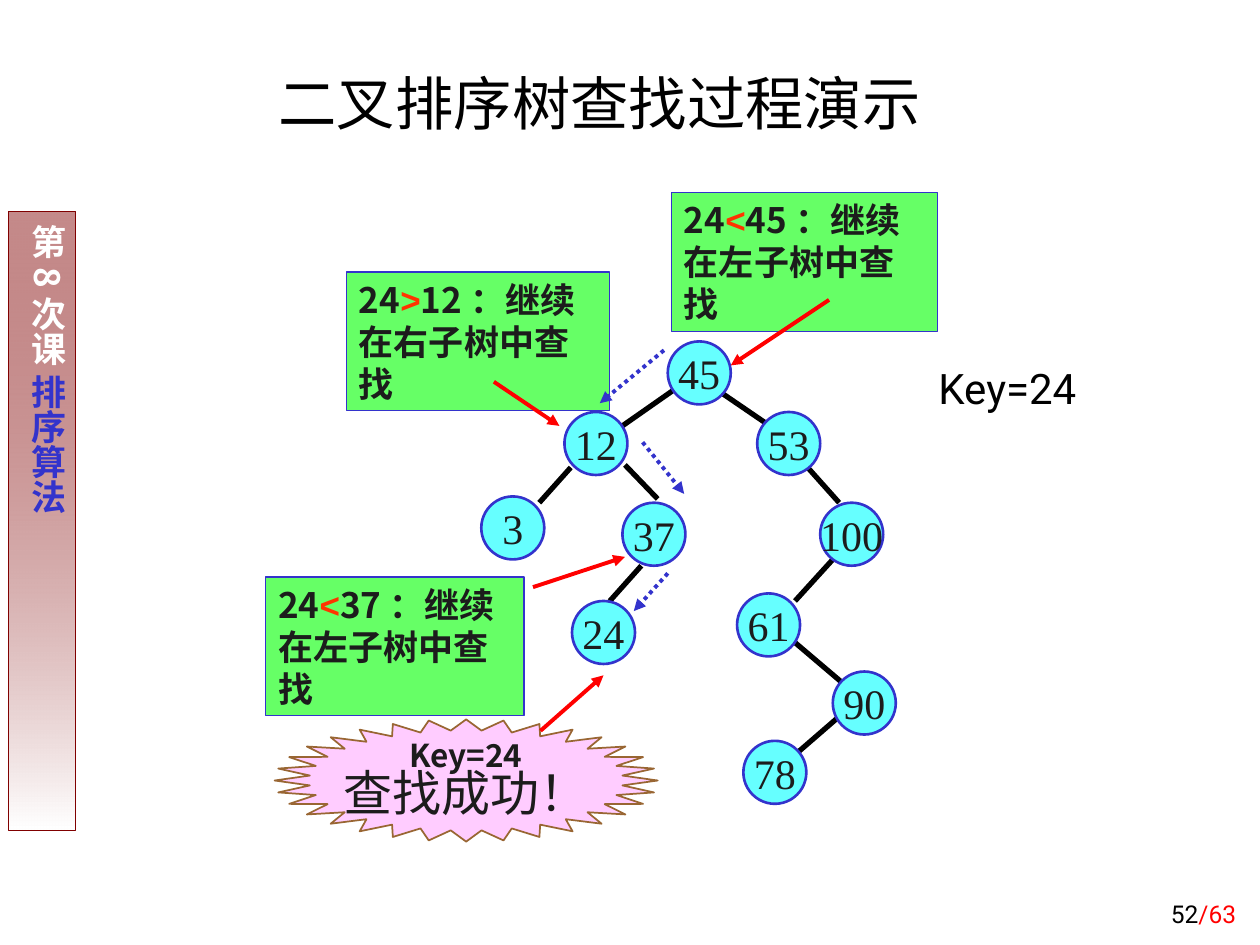
from collections import namedtuple
from dataclasses import dataclass

from lxml.etree import SubElement
from pptx import Presentation
from pptx.dml.color import RGBColor
from pptx.enum.dml import MSO_LINE
from pptx.enum.shapes import MSO_CONNECTOR, MSO_SHAPE
from pptx.enum.text import MSO_ANCHOR, MSO_AUTO_SIZE, PP_ALIGN
from pptx.oxml import parse_xml
from pptx.oxml.ns import nsdecls, qn
from pptx.util import Inches, Pt

Box = namedtuple("Box", "left top width height")


@dataclass(frozen=True)
class Theme:
    black: str = "000000"
    ink: str = "1C1C1C"
    white: str = "FFFFFF"
    red: str = "FF0000"
    sign: str = "FF3300"
    blue: str = "3333CC"
    maroon: str = "800000"
    node: str = "66FFFF"
    callout: str = "66FF66"
    burst: str = "FFCCFF"
    burst_line: str = "996633"
    sans: str = "Roboto"
    cjk: str = "Noto Sans CJK SC"
    sign_font: str = "Arial"
    serif: str = "Times New Roman"
    title_size: float = 33.3
    success_size: float = 28
    large_size: float = 24
    body_size: float = 20
    key_size: float = 18
    number_size: float = 14


THEME = Theme()


def color(value):
    return RGBColor.from_string(value)


def lengths(box):
    return [Inches(value) for value in box]


def add_run(paragraph, text, size, font, fill, bold=False):
    run = paragraph.add_run()
    run.text = text
    run.font.size = Pt(size)
    run.font.name = font
    run.font.bold = bold
    run.font.color.rgb = color(fill)
    SubElement(run.font._element, qn("a:ea")).set("typeface", THEME.cjk)


def set_frame(frame, anchor=MSO_ANCHOR.TOP, align=PP_ALIGN.LEFT, wrap=True, inset=(0.1, 0.05)):
    """Format a text frame and return its first paragraph."""
    frame.auto_size = MSO_AUTO_SIZE.NONE
    frame.word_wrap = wrap
    frame.vertical_anchor = anchor
    frame.margin_left = frame.margin_right = Inches(inset[0])
    frame.margin_top = frame.margin_bottom = Inches(inset[1])
    paragraph = frame.paragraphs[0]
    paragraph.alignment = align
    return paragraph


def add_outlined(slide, kind, box, fill, line, width):
    shape = slide.shapes.add_shape(kind, *lengths(box))
    shape.shadow.inherit = False
    if fill:
        shape.fill.solid()
        shape.fill.fore_color.rgb = color(fill)
    shape.line.color.rgb = color(line)
    shape.line.width = Pt(width)
    return shape


def add_line(slide, box, points, stroke, width, arrow=False, dotted=False):
    """Draw a line whose points are offsets from the corner of the box."""
    x1, y1, x2, y2 = points
    ends = (box.left + x1, box.top + y1, box.left + x2, box.top + y2)
    connector = slide.shapes.add_connector(MSO_CONNECTOR.STRAIGHT, *lengths(ends))
    connector.line.color.rgb = color(stroke)
    connector.line.width = Pt(width)
    if dotted:
        connector.line.dash_style = MSO_LINE.ROUND_DOT
    if arrow:
        SubElement(connector.line._get_or_add_ln(), qn("a:tailEnd")).set("type", "triangle")
    SubElement(connector._element.spPr, qn("a:effectLst"))


def add_title(slide, box):
    title = slide.shapes.title
    title.left, title.top, title.width, title.height = lengths(box)
    paragraph = set_frame(title.text_frame, MSO_ANCHOR.BOTTOM, PP_ALIGN.CENTER)
    add_run(paragraph, "二叉排序树查找过程演示", THEME.title_size, THEME.sans, THEME.black)


def add_sidebar(slide, box):
    shape = add_outlined(slide, MSO_SHAPE.RECTANGLE, box, None, THEME.maroon, 0.75)
    gradient = parse_xml(
        f'<a:gradFill {nsdecls("a")}><a:gsLst>'
        f'<a:gs pos="0"><a:srgbClr val="{THEME.maroon}"><a:alpha val="46000"/></a:srgbClr></a:gs>'
        f'<a:gs pos="100000"><a:srgbClr val="{THEME.white}"/></a:gs>'
        '</a:gsLst><a:lin ang="5400000" scaled="0"/></a:gradFill>')
    shape._element.spPr.find(qn("a:prstGeom")).addnext(gradient)
    paragraph = set_frame(shape.text_frame, align=PP_ALIGN.CENTER, inset=(0.05, 0.1))
    shape.text_frame._txBody.bodyPr.set("vert", "eaVert")
    for text, fill in (("第8次课 ", THEME.white), ("排序算法", THEME.blue)):
        add_run(paragraph, text, THEME.body_size, THEME.cjk, fill, bold=True)


def add_page_number(slide, box):
    frame = slide.shapes.add_textbox(*lengths(box)).text_frame
    paragraph = set_frame(frame, MSO_ANCHOR.BOTTOM, PP_ALIGN.RIGHT)
    for text, fill in (("52", THEME.black), ("/63", THEME.red)):
        add_run(paragraph, text, THEME.number_size, THEME.sans, fill)


def add_tree(slide, box):
    edges = [
        (1.12, 0.67, 1.52, 0.39), (1.88, 0.39, 2.29, 0.67), (2.59, 1.0, 2.84, 1.28),
        (2.79, 1.73, 2.49, 2.06), (2.89, 2.73, 2.49, 2.39), (2.94, 2.89, 2.49, 3.28),
        (1.14, 0.98, 1.4, 1.25), (0.71, 1.0, 0.46, 1.28), (1.27, 1.78, 1.02, 2.06),
    ]
    nodes = {
        45: (1.48, 0), 53: (2.19, 0.56), 100: (2.69, 1.28), 61: (2.03, 2.0), 90: (2.79, 2.62),
        78: (2.08, 3.17), 12: (0.66, 0.56), 3: (0, 1.23), 37: (1.12, 1.28), 24: (0.72, 2.06),
    }
    for edge in edges:
        add_line(slide, box, edge, THEME.black, 3)
    for key, (x, y) in nodes.items():
        node = add_outlined(slide, MSO_SHAPE.OVAL, Box(box.left + x, box.top + y, 0.5, 0.5),
                            THEME.node, THEME.blue, 1.5)
        paragraph = set_frame(node.text_frame, MSO_ANCHOR.MIDDLE, PP_ALIGN.CENTER,
                              wrap=False, inset=(0, 0))
        add_run(paragraph, str(key), THEME.large_size, THEME.serif, THEME.ink)


def add_search_steps(slide, box):
    """Draw the dotted arrows that follow the search down the tree."""
    for step in ((1.45, 0.07, 0.94, 0.49), (1.28, 0.8, 1.61, 1.21), (1.48, 1.84, 1.21, 2.14)):
        add_line(slide, box, step, THEME.blue, 2.25, arrow=True, dotted=True)


def add_callout(slide, box, sign, conclusion, arrow):
    shape = add_outlined(slide, MSO_SHAPE.RECTANGLE, box, THEME.callout, THEME.blue, 0.75)
    paragraph = set_frame(shape.text_frame)
    for text, font, fill in (("24", THEME.cjk, THEME.ink), (sign, THEME.sign_font, THEME.sign),
                             (conclusion, THEME.cjk, THEME.ink)):
        add_run(paragraph, text, THEME.body_size, font, fill, bold=True)
    add_line(slide, box, arrow, THEME.red, 2.25, arrow=True)


def add_success_burst(slide, box):
    burst = add_outlined(slide, MSO_SHAPE.STAR_32_POINT, box, THEME.burst, THEME.burst_line, 1)
    burst.adjustments[0] = 0.41
    frame = burst.text_frame
    first = set_frame(frame, MSO_ANCHOR.MIDDLE, PP_ALIGN.CENTER, wrap=False)
    first.line_spacing = 0.9
    add_run(first, "Key=24", THEME.key_size, THEME.cjk, THEME.ink, bold=True)
    second = frame.add_paragraph()
    second.alignment = PP_ALIGN.CENTER
    second.line_spacing = 0.8
    add_run(second, "查找成功！", THEME.success_size, THEME.cjk, THEME.ink)
    add_line(slide, box, (2.11, 0.09, 2.61, -0.35), THEME.red, 2.25, arrow=True)


def add_key_label(slide, box):
    paragraph = set_frame(slide.shapes.add_textbox(*lengths(box)).text_frame, wrap=False)
    add_run(paragraph, "Key=24", THEME.large_size, THEME.sans, THEME.black)


def main():
    presentation = Presentation()
    presentation.slide_width, presentation.slide_height = Inches(10), Inches(7.5)
    slide = presentation.slides.add_slide(presentation.slide_layouts[5])
    tree_box = Box(3.82, 2.71, 3.29, 3.67)
    add_sidebar(slide, Box(0.07, 1.68, 0.53, 4.91))
    add_page_number(slide, Box(7.83, 6.92, 2.08, 0.5))
    add_title(slide, Box(1.69, 0.44, 6.14, 0.7))
    add_tree(slide, tree_box)
    add_callout(slide, Box(2.75, 2.16, 2.09, 1.1), ">", "12：继续在右子树中查找",
                (1.17, 0.87, 1.69, 1.22))
    add_callout(slide, Box(2.11, 4.58, 2.05, 1.1), "<", "37：继续在左子树中查找",
                (2.12, 0.08, 2.85, -0.16))
    add_callout(slide, Box(5.33, 1.53, 2.11, 1.1), "<", "45：继续在左子树中查找",
                (1.25, 0.85, 0.47, 1.37))
    add_search_steps(slide, tree_box)
    add_success_burst(slide, Box(2.18, 5.71, 3.04, 0.97))
    add_key_label(slide, Box(7.35, 2.83, 1.33, 0.5))
    presentation.save("out.pptx")


if __name__ == "__main__":
    main()
